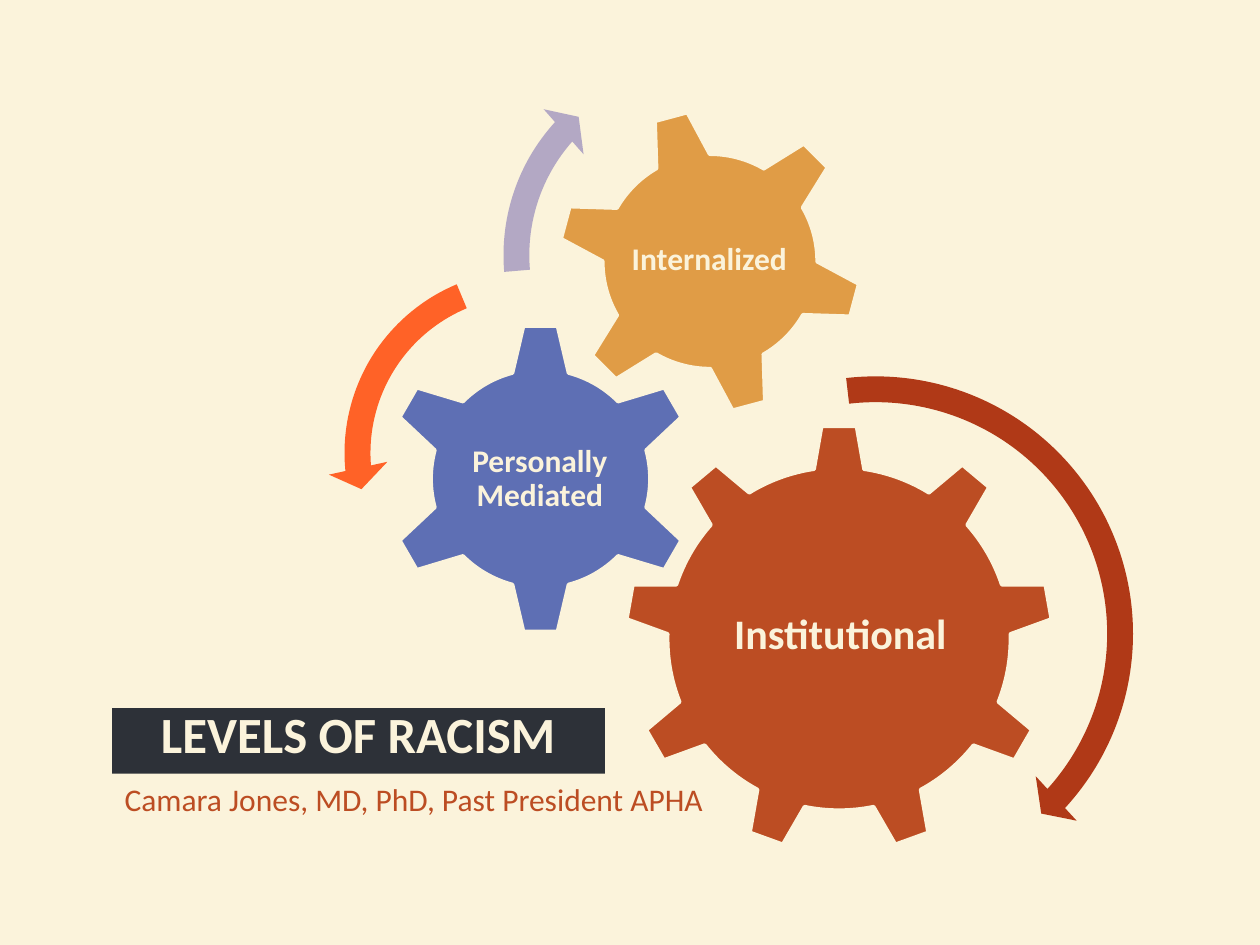
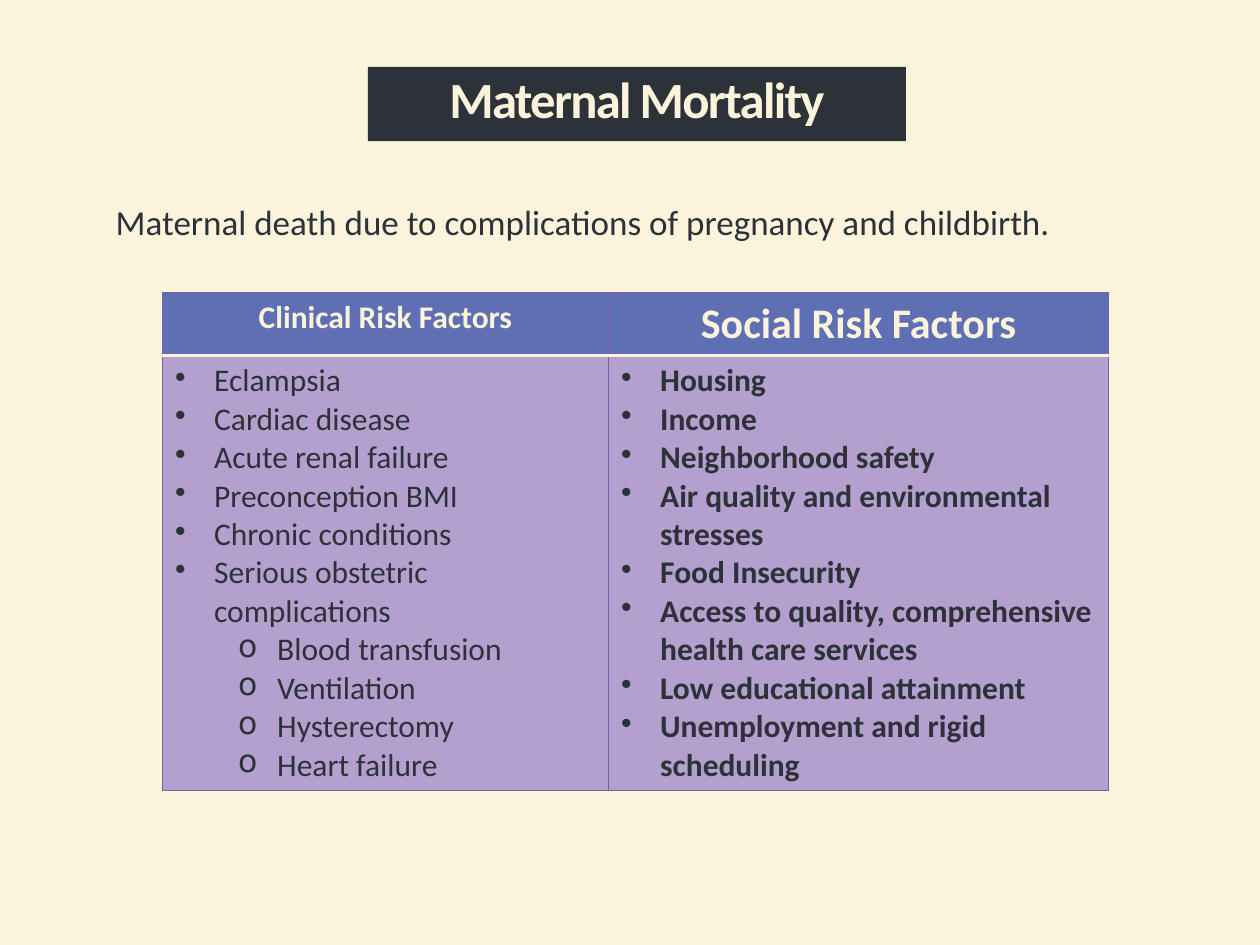
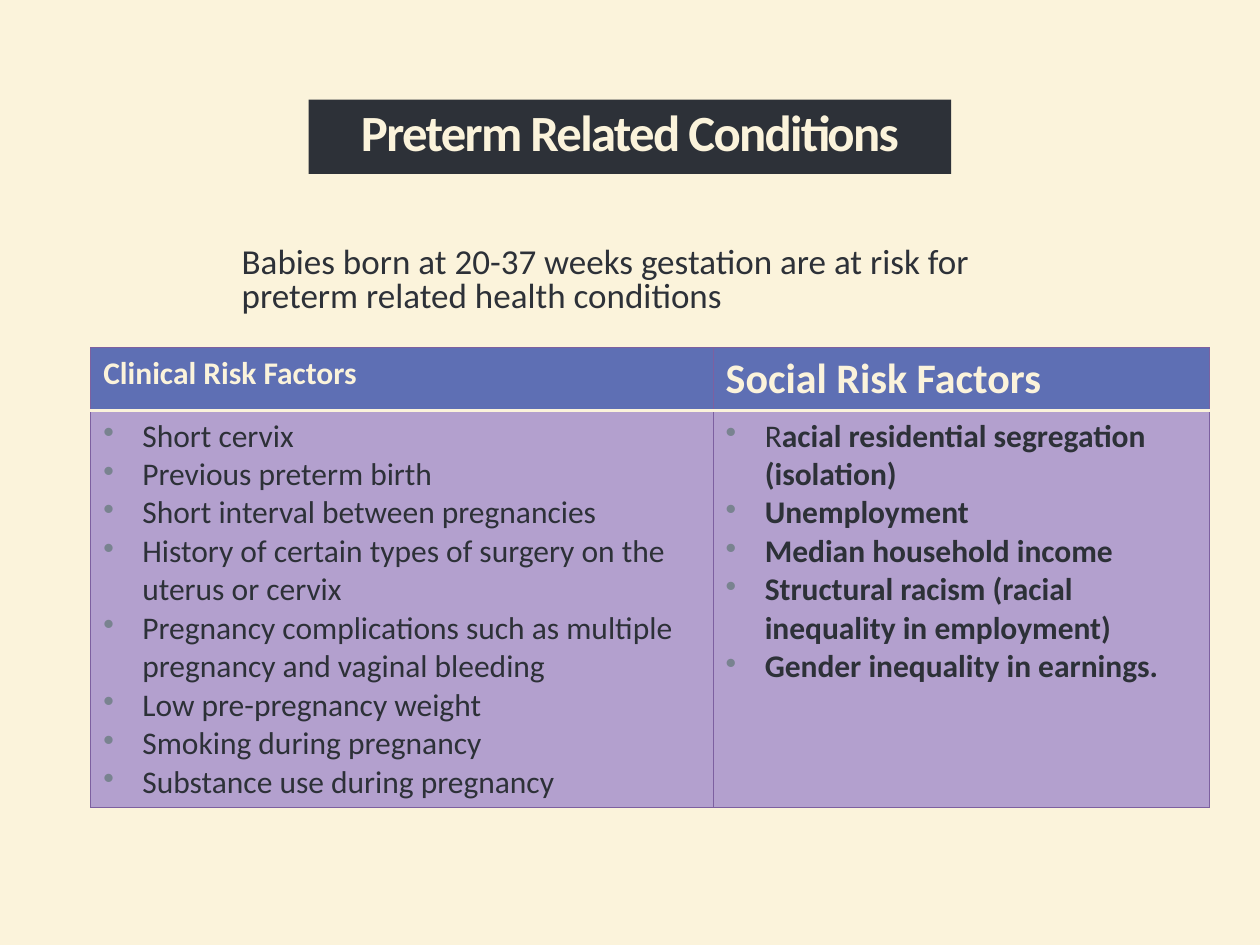
import pptx
import pptx.util
import pptx.dml.color
import pptx.enum.shapes
import pptx.enum.text
import pptx.oxml
import pptx.oxml.ns

Inches = pptx.util.Inches
Pt = pptx.util.Pt
RGBColor = pptx.dml.color.RGBColor
SHAPE = pptx.enum.shapes.MSO_SHAPE
ALIGN = pptx.enum.text.PP_ALIGN
ANCHOR = pptx.enum.text.MSO_ANCHOR

CREAM = RGBColor(0xFB, 0xF3, 0xDB)
DARK = RGBColor(0x2D, 0x31, 0x38)
RUST = RGBColor(0xBC, 0x4D, 0x23)
BLUE = RGBColor(0x5E, 0x6F, 0xB4)
GOLD = RGBColor(0xE0, 0x9C, 0x46)
BRICK = RGBColor(0xB0, 0x39, 0x17)
ORANGE = RGBColor(0xFF, 0x62, 0x27)
LILAC = RGBColor(0xB3, 0xA8, 0xC4)
LAVENDER = RGBColor(0xB3, 0xA0, 0xCE)
PURPLE = RGBColor(0x7D, 0x60, 0xA0)
GRAY = RGBColor(0x79, 0x83, 0x90)
FONT = "Calibri"


def add_xml(parent, xml, index=None):
    ns = pptx.oxml.ns.nsdecls("a")
    tag, rest = xml[1:].split(" ", 1)
    el = pptx.oxml.parse_xml(f"<{tag} {ns} {rest}")
    parent.insert(len(parent) if index is None else index, el)


def set_bullet(p, char, indent, color):
    pPr = p._p.get_or_add_pPr()
    pPr.set("marL", str(Inches(indent)))
    pPr.set("indent", str(Inches(-0.31)))
    if color is not None:
        add_xml(pPr, f'<a:buClr ><a:srgbClr val="{color}"/></a:buClr>')
    add_xml(pPr, f'<a:buChar char="{char}"/>')


def write(p, text, size=18, color=DARK, bold=False, align=ALIGN.LEFT,
          line=1.0, spacing=None):
    p.alignment = align
    p.line_spacing = line
    runs = [(text, bold)] if isinstance(text, str) else text
    for words, weight in runs:
        r = p.add_run()
        r.text = words
        r.font.name = FONT
        r.font.size = Pt(size)
        r.font.bold = weight
        r.font.color.rgb = color
        if spacing:
            r.font._element.set("spc", str(spacing * 100))


class Deck:
    def __init__(self):
        self.prs = pptx.Presentation()
        self.prs.slide_width = Inches(10)
        self.prs.slide_height = Inches(7.5)
        self.s = None

    def slide(self):
        self.s = self.prs.slides.add_slide(self.prs.slide_layouts[6])
        fill = self.s.background.fill
        fill.solid()
        fill.fore_color.rgb = CREAM

    def shape(self, kind, box, color, outline=False):
        sp = self.s.shapes.add_shape(kind, *map(Inches, box))
        sp.shadow.inherit = False
        sp.fill.solid()
        sp.fill.fore_color.rgb = color
        if outline:
            sp.line.color.rgb = CREAM
            sp.line.width = Pt(2)
        else:
            sp.line.fill.background()
        return sp

    def text(self, box, text, anchor=ANCHOR.TOP, margin=None, **style):
        tf = self.s.shapes.add_textbox(*map(Inches, box)).text_frame
        tf.word_wrap = True
        tf.vertical_anchor = anchor
        if margin is not None:
            tf.margin_left = tf.margin_right = Inches(margin)
            tf.margin_top = tf.margin_bottom = Inches(margin)
        write(tf.paragraphs[0], text, **style)

    def title(self, box, text, anchor=ANCHOR.MIDDLE, spacing=-1):
        tf = self.shape(SHAPE.RECTANGLE, box, DARK).text_frame
        tf.word_wrap = True
        tf.vertical_anchor = anchor
        write(tf.paragraphs[0], text, size=29, color=CREAM, bold=True,
              align=ALIGN.CENTER, line=0.8, spacing=spacing)

    def gear(self, kind, box, color, label, label_box, size=18, rotation=0):
        self.shape(kind, box, color, outline=True).rotation = rotation
        self.text(label_box, label, anchor=ANCHOR.MIDDLE, margin=0.03, size=size,
                  color=CREAM, bold=True, align=ALIGN.CENTER, line=0.9)

    def arc_arrow(self, kind, box, color, thickness, head_angle, end, start, head):
        sp = self.shape(kind, box, color)
        degrees = [angle * 0.6 for angle in (head_angle, end, start)]
        for i, value in enumerate([thickness / 100, *degrees, head / 100]):
            sp.adjustments[i] = value

    def cell(self, cell, color, is_header):
        cell.fill.solid()
        cell.fill.fore_color.rgb = color
        tcPr = cell._tc.get_or_add_tcPr()
        rule = "B" if is_header else "T"
        for i, side in enumerate("LRTB"):
            width, ink = (2, CREAM) if side == rule else (0.75, PURPLE)
            add_xml(tcPr, f'<a:ln{side} w="{Pt(width)}"><a:solidFill>'
                    f'<a:srgbClr val="{ink}"/></a:solidFill></a:ln{side}>', i)

    def risk_table(self, left, top, widths, body_height, clinical, social,
                   align=ALIGN.LEFT, bullet_color=None):
        heights = (0.5, body_height)
        box = (left, top, sum(widths), sum(heights))
        table = self.s.shapes.add_table(2, 2, *map(Inches, box)).table
        table.horz_banding = False
        for row, height in zip(table.rows, heights):
            row.height = Inches(height)
        columns = (("Clinical Risk Factors", 18, clinical, False),
                   ("Social Risk Factors", 24, social, True))
        for c, (heading, size, items, bold) in enumerate(columns):
            table.columns[c].width = Inches(widths[c])
            head, body = table.cell(0, c), table.cell(1, c)
            self.cell(head, BLUE, True)
            self.cell(body, LAVENDER, False)
            write(head.text_frame.paragraphs[0], heading, size=size,
                  color=CREAM, bold=True, align=align)
            tf = body.text_frame
            for i, (level, item) in enumerate(items):
                p = tf.add_paragraph() if i else tf.paragraphs[0]
                p.level = level
                set_bullet(p, "•o"[level], 0.31 + 0.5 * level, bullet_color)
                write(p, item, bold=bold)


def bullets(*items, level=0):
    return [(level, item) for item in items]


def levels_of_racism(deck):
    deck.slide()
    deck.gear(SHAPE.GEAR_9, (4.96, 3.37, 3.4, 3.4), RUST, "Institutional",
              (5.65, 4.17, 2.04, 1.75), size=24)
    deck.gear(SHAPE.GEAR_6, (3.05, 2.56, 2.48, 2.48), BLUE, "Personally Mediated",
              (3.67, 3.19, 1.23, 1.22))
    deck.gear(SHAPE.GEAR_6, (4.42, 0.86, 2.43, 2.43), GOLD, "Internalized",
              (4.95, 1.39, 1.36, 1.36), rotation=345)
    deck.arc_arrow(SHAPE.CIRCULAR_ARROW, (4.77, 2.85, 4.36, 4.36), BRICK,
                   4.7, 4.98, 42.38, 263.42, 5.5)
    deck.arc_arrow(SHAPE.LEFT_CIRCULAR_ARROW, (2.6, 2.01, 3.17, 3.17), ORANGE,
                   6.5, 7.17, 174.82, 247.3, 7.5)
    deck.arc_arrow(SHAPE.CIRCULAR_ARROW, (3.86, 0.32, 3.41, 3.41), LILAC,
                   6, 6.57, 221.9, 175.14, 7)
    deck.title((0.89, 5.62, 3.91, 0.52), "LEVELS OF RACISM",
               anchor=ANCHOR.TOP, spacing=None)
    deck.text((0.89, 6.14, 5.68, 0.71),
              "Camara Jones, MD, PhD, Past President APHA", color=RUST)


def maternal_mortality(deck):
    deck.slide()
    deck.title((2.92, 0.53, 4.27, 0.59), "Maternal Mortality")
    deck.text((0.82, 1.61, 8.5, 0.54),
              "Maternal death due to complications of pregnancy and childbirth.",
              size=20, line=0.8)
    clinical = bullets("Eclampsia", "Cardiac disease", "Acute renal failure",
                       "Preconception BMI", "Chronic conditions",
                       "Serious obstetric complications")
    clinical += bullets("Blood transfusion", "Ventilation", "Hysterectomy",
                        "Heart failure", level=1)
    social = bullets("Housing", "Income", "Neighborhood safety",
                     "Air quality and environmental stresses", "Food Insecurity",
                     "Access to quality, comprehensive health care services",
                     "Low educational attainment",
                     "Unemployment and rigid scheduling")
    deck.risk_table(1.29, 2.32, (3.54, 3.97), 3.45, clinical, social,
                    align=ALIGN.CENTER)


def preterm_conditions(deck):
    deck.slide()
    deck.title((2.45, 0.79, 5.1, 0.59), "Preterm Related Conditions")
    deck.text((1.82, 1.92, 6.72, 0.84),
              "Babies born at 20-37 weeks gestation are at risk for "
              "preterm related health conditions", size=20, line=0.8)
    clinical = bullets("Short cervix", "Previous preterm birth",
                       "Short interval between pregnancies",
                       "History of certain types of surgery on the uterus or cervix",
                       "Pregnancy complications such as multiple pregnancy "
                       "and vaginal bleeding",
                       "Low pre-pregnancy weight", "Smoking during pregnancy",
                       "Substance use during pregnancy")
    social = bullets([("R", False), ("acial residential segregation (isolation)", True)],
                     "Unemployment", "Median household income",
                     "Structural racism (racial inequality in employment)",
                     "Gender inequality in earnings.")
    deck.risk_table(0.72, 2.76, (4.94, 3.94), 3.15, clinical, social,
                    bullet_color=GRAY)


def main():
    deck = Deck()
    levels_of_racism(deck)
    maternal_mortality(deck)
    preterm_conditions(deck)
    deck.prs.save("out.pptx")


if __name__ == "__main__":
    main()
